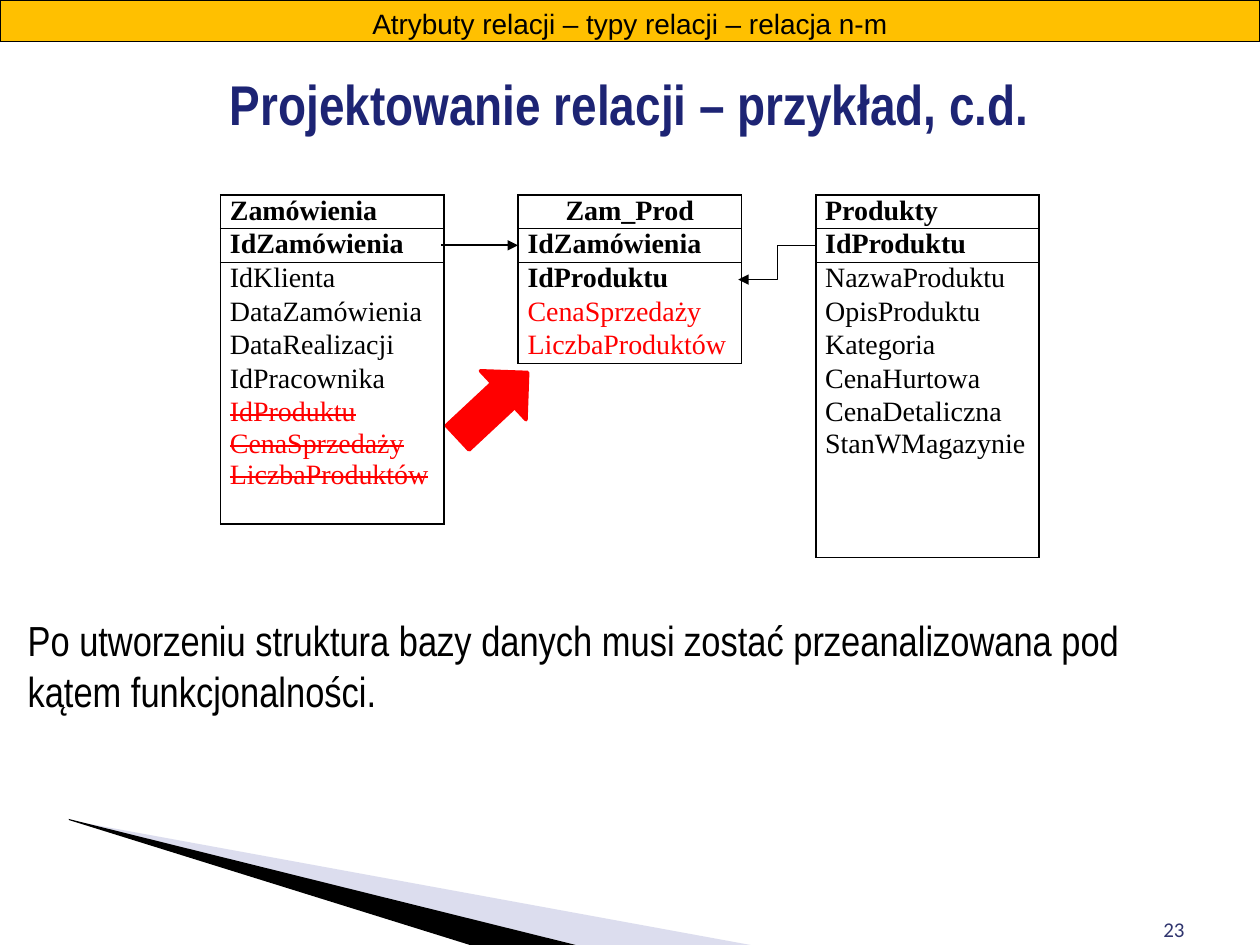
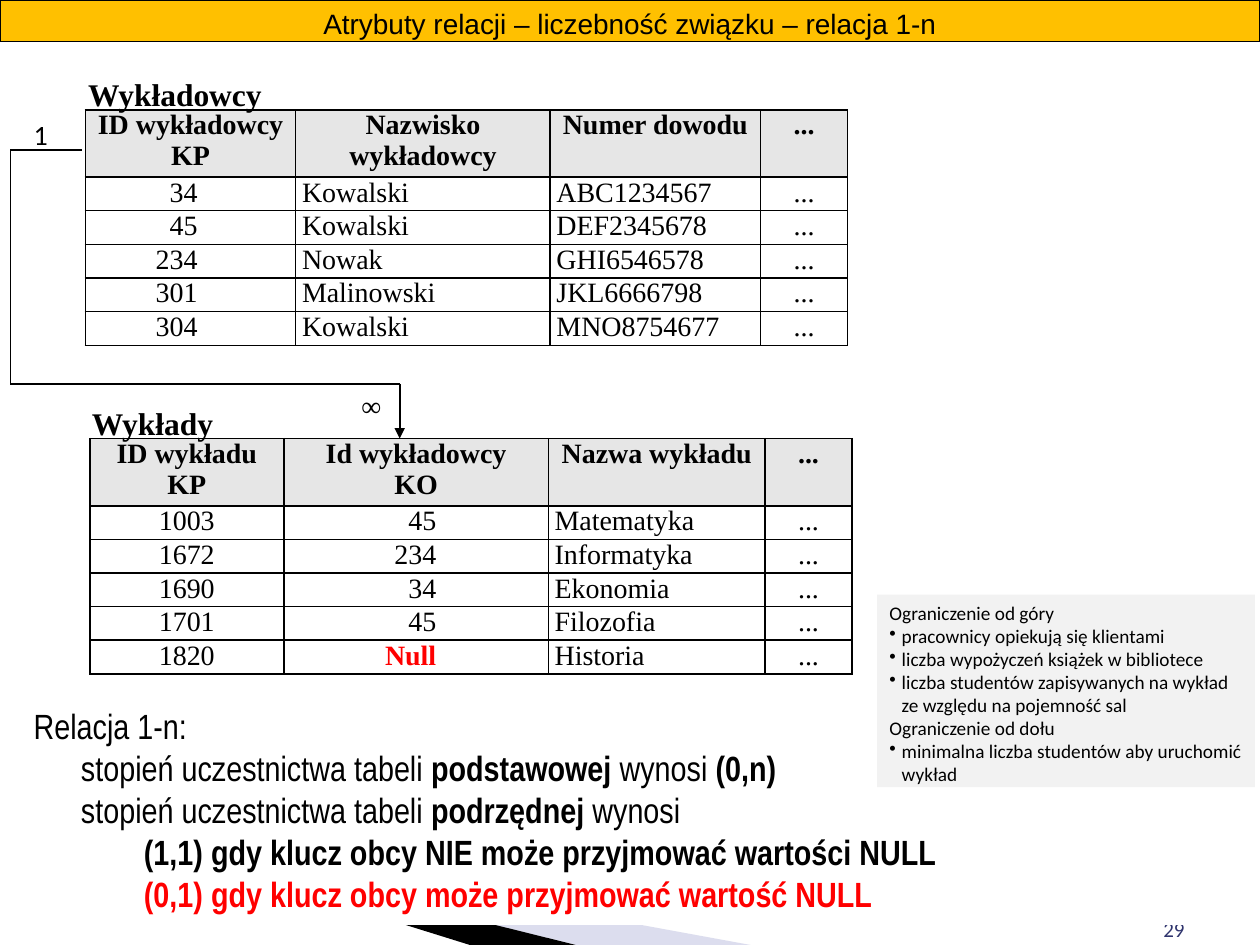
from dataclasses import dataclass

from lxml.etree import SubElement
from pptx import Presentation
from pptx.dml.color import RGBColor
from pptx.enum.shapes import MSO_CONNECTOR as Link, MSO_SHAPE as Preset
from pptx.enum.text import MSO_ANCHOR as Anchor, PP_ALIGN as Align
from pptx.oxml.ns import qn
from pptx.util import Pt


@dataclass(frozen=True)
class Type:
    size: float
    font: str
    color: str = "000000"
    bold: bool = False


@dataclass(frozen=True)
class Theme:
    black: str = "000000"
    white: str = "FFFFFF"
    red: str = "FF0000"
    gold: str = "FFC000"
    lavender: str = "A8ABD5"
    header_grey: str = "E6E6E6"
    note_grey: str = "F2F2F2"
    no_grid: str = "{2D5ABB26-0587-4C30-8999-92F81FD0307C}"
    band: Type = Type(16, "Arial")
    title: Type = Type(32, "Arial Narrow", "1D2474", True)
    body: Type = Type(24, "Arial Narrow")
    summary: Type = Type(20, "Arial Narrow")
    note: Type = Type(11, "Calibri")
    number: Type = Type(12, "Calibri", "30356E")
    cell: Type = Type(16, "Times New Roman")
    heading: Type = Type(16, "Times New Roman", "000000", True)
    caption: Type = Type(18, "Times New Roman", "000000", True)
    one: Type = Type(16, "Calibri")


THEME = Theme()
BOLD = {"bold": True}
RED = {"color": THEME.red}
STRUCK = {"color": THEME.red, "strike": True}

# Text: "\n" parts paragraphs, "\v" breaks a line; a list holds (text, changes) spans.
TITLE = "Projektowanie relacji – przykład, c.d."
CONCLUSION = ("Po utworzeniu struktura bazy danych musi zostać "
              "przeanalizowana pod kątem funkcjonalności.")

# Table column: (last row, fields from the top)
ENTITIES = {
    0: (6, [[("Zamówienia", BOLD)], [("IdZamówienia", BOLD)], "IdKlienta", "DataZamówienia",
            "DataRealizacji", "IdPracownika",
            [("IdProduktu\vCenaSprzedaży\nLiczbaProduktów", STRUCK)]]),
    2: (4, [[("Zam_Prod", BOLD)], [("IdZamówienia", BOLD)], [("IdProduktu", BOLD)],
            [("CenaSprzedaży", RED)], [("LiczbaProduktów", RED)]]),
    4: (7, [[("Produkty", BOLD)], [("IdProduktu", BOLD)], "NazwaProduktu", "OpisProduktu",
            "Kategoria", "CenaHurtowa", "CenaDetaliczna\nStanWMagazynie"]),
}
ENTITY_WIDTHS = [127.6, 42.5, 127.6, 42.5, 127.6]
ENTITY_HEIGHTS = [19.15] * 6 + [72.7] + [19.15] * 2

LECTURERS = [
    ("ID wykładowcy\vKP", "Nazwisko\nwykładowcy", "Numer dowodu", "..."),
    ("34", "Kowalski", "ABC1234567", "..."),
    ("45", "Kowalski", "DEF2345678", "..."),
    ("234", "Nowak", "GHI6546578", "..."),
    ("301", "Malinowski", "JKL6666798", "..."),
    ("304", "Kowalski", "MNO8754677", "..."),
]
LECTURES = [
    ("ID wykładu\vKP", "Id wykładowcy\vKO", "Nazwa wykładu", "..."),
    ("1003", "45", "Matematyka", "..."),
    ("1672", "234", "Informatyka", "..."),
    ("1690", "34", "Ekonomia", "..."),
    ("1701", "45", "Filozofia", "..."),
]
UNASSIGNED = [("1820", [("\t", {}), ("Null", {"bold": True, "color": THEME.red})],
               "Historia", "...")]
# Column layout: an alignment, or the place of a right tab
LECTURER_LAYOUT = [60.5, Align.LEFT, Align.LEFT, Align.CENTER]
LECTURE_LAYOUT = [Align.CENTER, 83.5, Align.LEFT, Align.CENTER]
LECTURER_WIDTHS = [120.2, 145.4, 120.2, 49.8]
LECTURE_WIDTHS = [110.9, 151.2, 123.8, 49.7]

SUMMARY = [
    ("Relacja 1-n:\vstopień uczestnictwa tabeli ", {}), ("podstawowej", BOLD),
    (" wynosi ", {}), ("(0,n)", BOLD),
    ("\n\tstopień uczestnictwa tabeli ", {}), ("podrzędnej ", BOLD), ("wynosi \v\t", {}),
    ("(1,1) gdy klucz obcy NIE może przyjmować wartości NULL", BOLD),
    ("\n\t\t(0,1) gdy klucz obcy może przyjmować wartość NULL",
     {"bold": True, "color": THEME.red}),
]
LIMITS = {
    "Ograniczenie od góry": [
        "pracownicy opiekują się klientami",
        "liczba wypożyczeń książek w bibliotece",
        "liczba studentów zapisywanych na wykład ze względu na pojemność sal"],
    "Ograniczenie od dołu": ["minimalna liczba studentów aby uruchomić wykład"],
}


def rgb(color):
    return RGBColor.from_string(color)


def format_span(span, kind, bold=None, color=None, strike=False):
    font = span.font
    font.size, font.name = Pt(kind.size), kind.font
    font.bold = kind.bold if bold is None else bold
    font.color.rgb = rgb(color or kind.color)
    if strike:
        span._r.get_or_add_rPr().set("strike", "sngStrike")


def write(frame, text, kind, align=Align.LEFT, hang=0):
    para = frame.paragraphs[0]
    spans = [(text, {})] if isinstance(text, str) else text
    for words, changes in spans:
        for i, block in enumerate(words.split("\n")):
            if i:
                para = frame.add_paragraph()
            for j, line in enumerate(block.split("\v")):
                if j:
                    para.add_line_break()
                if line:
                    span = para.add_run()
                    span.text = line
                    format_span(span, kind, **changes)
    for para in frame.paragraphs:
        para.alignment = align
        if hang:
            set_hang(para, hang)


def set_hang(para, width):
    props = para._p.get_or_add_pPr()
    props.set("marL", str(Pt(width)))
    props.set("indent", str(-Pt(width)))


def add_right_tab(para, position):
    tabs = SubElement(para._p.get_or_add_pPr(), qn("a:tabLst"))
    SubElement(tabs, qn("a:tab"), pos=str(Pt(position)), algn="r")


def set_insets(frame, across, down):
    frame.margin_left = frame.margin_right = Pt(across)
    frame.margin_top = frame.margin_bottom = Pt(down)


def add_text(page, place, text, kind, align=Align.LEFT, insets=(7.2, 3.6), anchor=Anchor.TOP):
    frame = page.shapes.add_textbox(*map(Pt, place)).text_frame
    frame.word_wrap, frame.vertical_anchor = True, anchor
    set_insets(frame, *insets)
    write(frame, text, kind, align)


def paint(shape, fill, line=None, weight=0.75):
    shape.shadow.inherit = False
    shape.fill.solid()
    shape.fill.fore_color.rgb = rgb(fill)
    if line:
        shape.line.color.rgb, shape.line.width = rgb(line), Pt(weight)
    else:
        shape.line.fill.background()


def add_panel(page, place, fill, text, kind, line=None, insets=(7.2, 3.6), **layout):
    panel = page.shapes.add_shape(Preset.RECTANGLE, *map(Pt, place))
    paint(panel, fill, line)
    frame = panel.text_frame
    frame.word_wrap, frame.vertical_anchor = True, Anchor.TOP
    set_insets(frame, *insets)
    write(frame, text, kind, **layout)
    return frame


def add_link(page, start, end, kind=Link.STRAIGHT, weight=1.0, arrow=False):
    link = page.shapes.add_connector(kind, *map(Pt, start + end))
    link.line.color.rgb, link.line.width = rgb(THEME.black), Pt(weight)
    if arrow:
        SubElement(link.line._get_or_add_ln(), qn("a:tailEnd"), type="triangle")
    SubElement(link._element.spPr, qn("a:effectLst"))


def add_wedge(page, points, fill):
    first, *rest = [tuple(map(Pt, point)) for point in points]
    outline = page.shapes.build_freeform(*first)
    outline.add_line_segments(rest)
    wedge = outline.convert_to_shape()
    paint(wedge, fill)
    return wedge


def add_page(deck, number):
    """Add a page with the corner wedges and its number."""
    page = deck.slides.add_slide(deck.slide_layouts[6])
    tip, fold, floor = (39.6, 468.7), (329, 540), 540
    light = add_wedge(page, [tip, (429, floor), fold], THEME.lavender)
    color = light.fill._xPr.find(".//" + qn("a:srgbClr"))
    SubElement(color, qn("a:alpha"), val="40000")
    add_wedge(page, [(39.2, 468), fold, (268.5, floor), tip], THEME.black)
    add_text(page, (516, 504, 168, 37.4), str(number), THEME.number, Align.RIGHT,
             anchor=Anchor.BOTTOM)
    return page


def add_band(page, text):
    add_panel(page, (0, 0, 720, 23.8), THEME.gold, text, THEME.band, THEME.black,
              align=Align.CENTER)


def add_grid(page, left, top, widths, heights):
    place = map(Pt, (left, top, sum(widths), sum(heights)))
    frame = page.shapes.add_table(len(heights), len(widths), *place)
    table = frame.table
    table.first_row = table.horz_banding = False
    table._tbl.tblPr.find(qn("a:tableStyleId")).text = THEME.no_grid
    for column, width in zip(table.columns, widths):
        column.width = Pt(width)
    for row, height in zip(table.rows, heights):
        row.height = Pt(height)
    return table


def dress_cell(cell, sides, inset, fill=None):
    set_insets(cell, inset, 0)
    props = cell._tc.get_or_add_tcPr()
    for side in sides:
        edge = SubElement(props, qn("a:ln" + side), w=str(Pt(1)))
        SubElement(SubElement(edge, qn("a:solidFill")), qn("a:srgbClr"), val=THEME.black)
    if fill:
        cell.fill.solid()
        cell.fill.fore_color.rgb = rgb(fill)
    else:
        cell.fill.background()


def add_entities(page, left, top):
    table = add_grid(page, left, top, ENTITY_WIDTHS, ENTITY_HEIGHTS)
    for r in range(len(ENTITY_HEIGHTS)):
        for c in range(len(ENTITY_WIDTHS)):
            cell = table.cell(r, c)
            last, fields = ENTITIES.get(c, (-1, []))
            sides = "LR" if r <= last else ""
            sides += "T" if sides and r < 2 else ""
            sides += "B" if sides and r in (0, last) else ""
            dress_cell(cell, sides, 5.4)
            if r < len(fields):
                centred = (r, c) == (0, 2)
                write(cell.text_frame, fields[r], THEME.cell,
                      Align.CENTER if centred else Align.LEFT)
            else:
                para = cell.text_frame.paragraphs[0]
                SubElement(para._p, qn("a:endParaRPr"), sz="1000")


def add_records(page, left, top, widths, layout, records, heights, has_header=True):
    table = add_grid(page, left, top, widths, heights)
    for r, record in enumerate(records):
        header = has_header and r == 0
        for c, (text, place) in enumerate(zip(record, layout)):
            cell = table.cell(r, c)
            dress_cell(cell, "LRTB", 3.6, THEME.header_grey if header else None)
            frame = cell.text_frame
            if header:
                write(frame, text, THEME.heading, Align.CENTER)
            elif isinstance(place, float):
                write(frame, "\t" + text if isinstance(text, str) else text, THEME.cell)
                add_right_tab(frame.paragraphs[0], place)
            else:
                write(frame, text, THEME.cell, place)


def add_limits(page):
    lines = [(text, bullet) for head, items in LIMITS.items()
             for text, bullet in [(head, False)] + [(item, True) for item in items]]
    frame = add_panel(page, (501.2, 339.8, 216, 110), THEME.note_grey,
                      "\n".join(text for text, _ in lines), THEME.note, hang=27)
    for para, (_, bullet) in zip(frame.paragraphs, lines):
        if bullet:
            set_hang(para, 7)
            SubElement(para._p.get_or_add_pPr(), qn("a:buChar"), char="•")


def build_many_to_many(deck):
    page = add_page(deck, 23)
    add_text(page, (0, 36, 720, 41.8), TITLE, THEME.title, Align.CENTER, (3.6, 3.6))
    add_link(page, (252, 140.2), (296, 140.2), arrow=True)
    add_entities(page, 126, 111.5)
    arrow = page.shapes.add_shape(Preset.RIGHT_ARROW, Pt(254.2), Pt(212.4), Pt(54.7), Pt(38.2))
    arrow.rotation = 317
    paint(arrow, THEME.red, THEME.red, 2)
    add_link(page, (466.6, 140.4), (421.9, 159.8), Link.ELBOW, 0.75, arrow=True)
    add_text(page, (12.2, 347.8, 669.6, 95.8), CONCLUSION, THEME.body, insets=(3.6, 3.6))
    add_band(page, "Atrybuty relacji – typy relacji – relacja n-m")


def build_one_to_many(deck):
    page = add_page(deck, 29)
    add_panel(page, (12.2, 398.9, 671.8, 129.6), THEME.white, SUMMARY, THEME.summary, hang=27)
    add_limits(page)
    add_band(page, "Atrybuty relacji – liczebność związku – relacja 1-n")
    add_records(page, 48.8, 62.8, LECTURER_WIDTHS, LECTURER_LAYOUT, LECTURERS,
                [35.6] + [17.8] * 5)
    add_records(page, 51.3, 250.6, LECTURE_WIDTHS, LECTURE_LAYOUT, LECTURES,
                [35.6] + [17.8] * 4)
    add_text(page, (43.2, 39.6, 126, 28.8), "Wykładowcy", THEME.caption)
    add_text(page, (45.4, 227.5, 112.3, 28.8), "Wykłady", THEME.caption)
    route = [(46.8, 85.7), (6, 85.7), (6, 219.4), (228.4, 219.4)]
    for start, end in zip(route, route[1:]):
        add_link(page, start, end)
    for place, sign, kind in [((12.2, 67, 22.3, 17.3), "1", THEME.one),
                              ((199.4, 221.8, 24.5, 17.3), "∞", THEME.cell)]:
        add_panel(page, place, THEME.white, sign, kind, insets=(7.2, 0))
    add_link(page, route[-1], (228.4, 250.6), arrow=True)
    add_records(page, 51.3, 365.8, LECTURE_WIDTHS, LECTURE_LAYOUT, UNASSIGNED, [19.4],
                has_header=False)


def main():
    deck = Presentation()
    deck.slide_width, deck.slide_height = Pt(720), Pt(540)
    build_many_to_many(deck)
    build_one_to_many(deck)
    deck.save("out.pptx")


if __name__ == "__main__":
    main()
